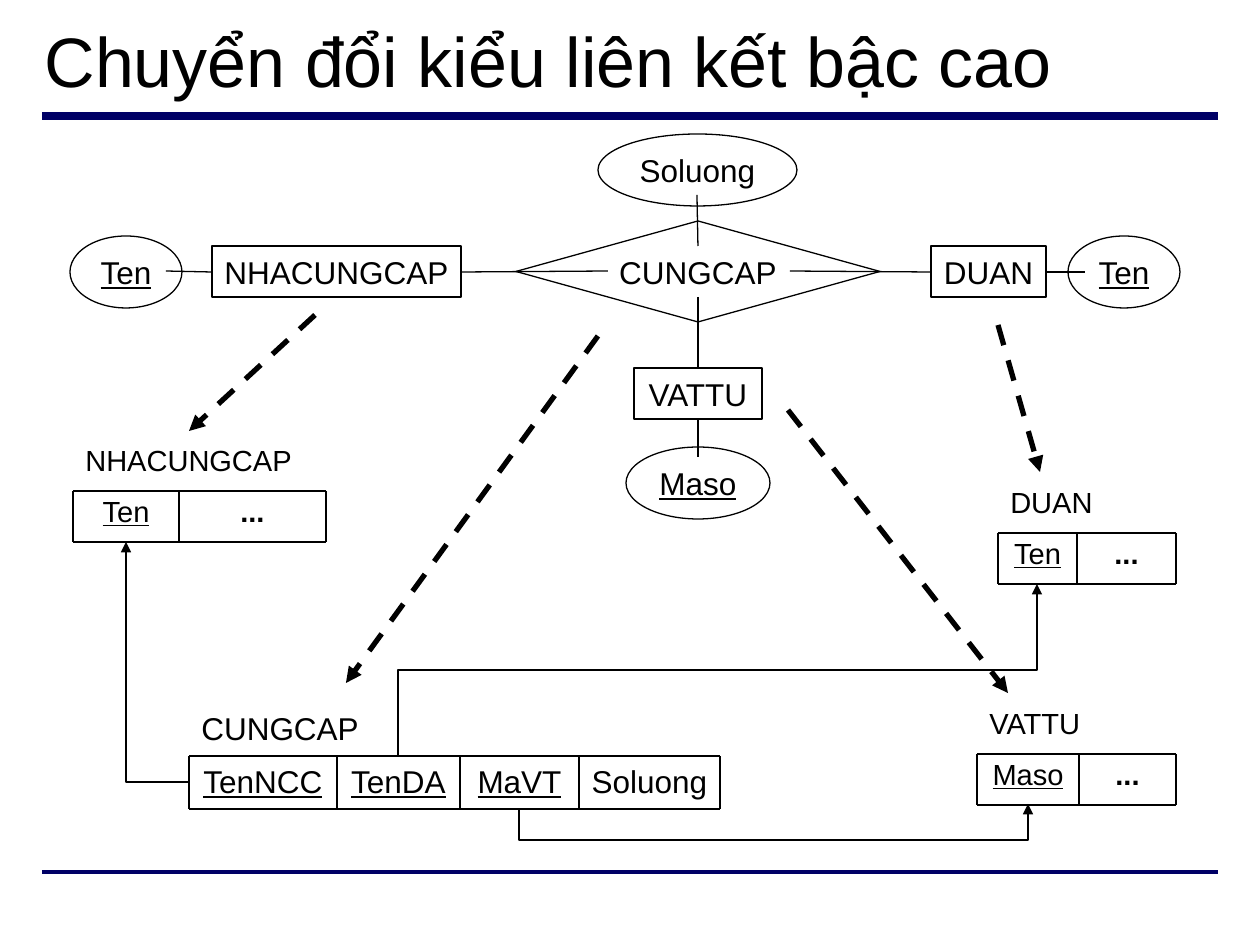
"""Build a slide that maps a ternary relationship diagram to relation schemas."""
from dataclasses import dataclass
from itertools import pairwise

from lxml import etree
from pptx import Presentation
from pptx import util as u
from pptx.dml.color import RGBColor
from pptx.enum import dml, shapes, text
from pptx.oxml.ns import qn


@dataclass(frozen=True)
class Theme:
    font: str = "Arial"
    ink: RGBColor = RGBColor(0, 0, 0)
    paper: RGBColor = RGBColor(255, 255, 255)
    accent: RGBColor = RGBColor(0, 0, 0x66)
    title: float = 40
    body: float = 18
    small: float = 16.6
    thin: float = 0.75
    grid: float = 1
    thick: float = 3


THEME = Theme()
CENTER = text.PP_ALIGN.CENTER
LEFT = text.PP_ALIGN.LEFT


def px(value):
    return round(value * 914400 / 126)


def box(*lengths):
    return [px(length) for length in lengths]


def write(shape, words, size, align=LEFT, bold=False, underline=False, spacing=None):
    shape.text_frame.text = words
    paragraph = shape.text_frame.paragraphs[0]
    paragraph.alignment = align
    if spacing:
        paragraph.line_spacing = spacing
    font = paragraph.font
    font.name, font.size = THEME.font, u.Pt(size)
    font.color.rgb = THEME.ink
    font.bold, font.underline = bold, underline


def add_title(slide, words):
    title = slide.shapes.title
    title.left, title.top, title.width, title.height = box(32, 11, 1197, 97)
    write(title, words, THEME.title)
    title.text_frame.vertical_anchor = text.MSO_ANCHOR.MIDDLE
    title.text_frame.auto_size = text.MSO_AUTO_SIZE.NONE


def add_node(slide, kind, bounds, words, key=False):
    shape = slide.shapes.add_shape(kind, *box(*bounds))
    shape.shadow.inherit = False
    shape.fill.solid()
    shape.fill.fore_color.rgb = THEME.paper
    shape.line.color.rgb = THEME.ink
    shape.line.width = u.Pt(THEME.thin)
    write(shape, words, THEME.body, CENTER, underline=key)
    frame = shape.text_frame
    frame.word_wrap = False
    frame.margin_left = frame.margin_right = 0
    frame.vertical_anchor = text.MSO_ANCHOR.MIDDLE
    frame.auto_size = text.MSO_AUTO_SIZE.NONE


def add_text(slide, bounds, words, size, align=LEFT, spacing=None, **style):
    shape = slide.shapes.add_textbox(*box(*bounds))
    shape.text_frame.word_wrap = True
    write(shape, words, size, align, spacing=spacing, **style)


def add_line(slide, begin, end, width, color=THEME.ink, arrow=False, dashed=False,
             kind=shapes.MSO_CONNECTOR.STRAIGHT):
    line = slide.shapes.add_connector(kind, *box(*begin, *end))
    line.line.color.rgb = color
    line.line.width = u.Pt(width)
    if dashed:
        line.line.dash_style = dml.MSO_LINE.DASH
    if arrow:
        etree.SubElement(line.line._get_or_add_ln(), qn("a:tailEnd"), type="triangle")
    etree.SubElement(line._element.spPr, qn("a:effectLst"))
    return line


def add_elbow(slide, begin, end, via_y=None):
    """Route sideways then up, or, given via_y, vertically through that level."""
    line = add_line(slide, begin, end, THEME.thin, arrow=True,
                    kind=shapes.MSO_CONNECTOR.ELBOW)
    properties = line._element.spPr
    transform = properties.find(qn("a:xfrm"))
    geometry = properties.find(qn("a:prstGeom"))
    for flip in ("flipH", "flipV"):
        transform.attrib.pop(flip, None)
    if via_y is None:
        geometry.set("prst", "bentConnector2")
        transform.set("rot", str(180 * 60000))
        return
    rise, run = begin[1] - end[1], end[0] - begin[0]
    center_x, center_y = (begin[0] + end[0]) / 2, (begin[1] + end[1]) / 2
    line.left, line.top, line.width, line.height = box(
        center_x - rise / 2, center_y - run / 2, rise, run)
    transform.set("rot", str(270 * 60000))
    bend = round((begin[1] - via_y) / rise * 100000)
    adjustments = geometry.get_or_add_avLst()
    etree.SubElement(adjustments, qn("a:gd"), name="adj1", fmla=f"val {bend}")


def add_schema(slide, name, top, height, edges, cells, size, spacing=None):
    left, right, bottom = edges[0], edges[-1], top + height
    add_text(slide, (left, top - height, right - left, height), name, size,
             spacing=spacing)
    for (start, stop), words in zip(pairwise(edges), cells):
        add_text(slide, (start, top, stop - start, height), words, size, CENTER,
                 spacing, bold=words == "...",
                 underline=words not in ("...", "Soluong"))
    for y in (top, bottom):
        add_line(slide, (left, y), (right, y), THEME.grid)
    for x in edges:
        add_line(slide, (x, top), (x, bottom), THEME.grid)


def add_diagram(slide):
    preset = shapes.MSO_SHAPE
    for bounds, words in (((212, 246, 249, 51), "NHACUNGCAP"),
                          ((931, 246, 115, 51), "DUAN"),
                          ((634, 368, 128, 51), "VATTU")):
        add_node(slide, preset.RECTANGLE, bounds, words)
    add_node(slide, preset.DIAMOND, (516, 221, 364, 101), "CUNGCAP")
    for bounds, words in (((70, 236, 112, 72), "Ten"),
                          ((1068, 236, 112, 72), "Ten"),
                          ((626, 447, 144, 72), "Maso"),
                          ((598, 134, 199, 72), "Soluong")):
        add_node(slide, preset.OVAL, bounds, words, key=words != "Soluong")
    for begin, end in (((166, 271), (212, 272)), ((1085, 272), (1046, 272)),
                       ((698, 457), (698, 418)), ((461, 272), (608, 271)),
                       ((790, 271), (931, 272)), ((698, 297), (698, 368)),
                       ((698, 246), (697, 195))):
        add_line(slide, begin, end, THEME.thin)


def main():
    presentation = Presentation()
    presentation.slide_width, presentation.slide_height = box(1260, 945)
    slide = presentation.slides.add_slide(presentation.slide_layouts[5])
    for y, width in ((116, 4.5), (872, 2.25)):
        add_line(slide, (42, y), (1218, y), width, THEME.accent)
    add_title(slide, "Chuyển đổi kiểu liên kết bậc cao")
    add_diagram(slide)
    for name, top, edges, key in (("NHACUNGCAP", 491, (73, 179, 326), "Ten"),
                                  ("DUAN", 533, (998, 1077, 1176), "Ten"),
                                  ("VATTU", 754, (977, 1079, 1176), "Maso")):
        add_schema(slide, name, top, 51, edges, (key, "..."), THEME.small, 0.9)
    add_schema(slide, "CUNGCAP", 756, 53, (189, 337, 460, 579, 720),
               ("TenNCC", "TenDA", "MaVT", "Soluong"), THEME.body)
    for begin, end in (((315, 315), (189, 431)), ((998, 325), (1040, 472)),
                       ((788, 410), (1008, 693)), ((598, 336), (346, 683))):
        add_line(slide, begin, end, THEME.thick, arrow=True, dashed=True)
    add_elbow(slide, (189, 782), (126, 542))
    add_elbow(slide, (398, 756), (1037, 584), via_y=670)
    add_elbow(slide, (519, 809), (1028, 804), via_y=840)
    presentation.save("out.pptx")


if __name__ == "__main__":
    main()
